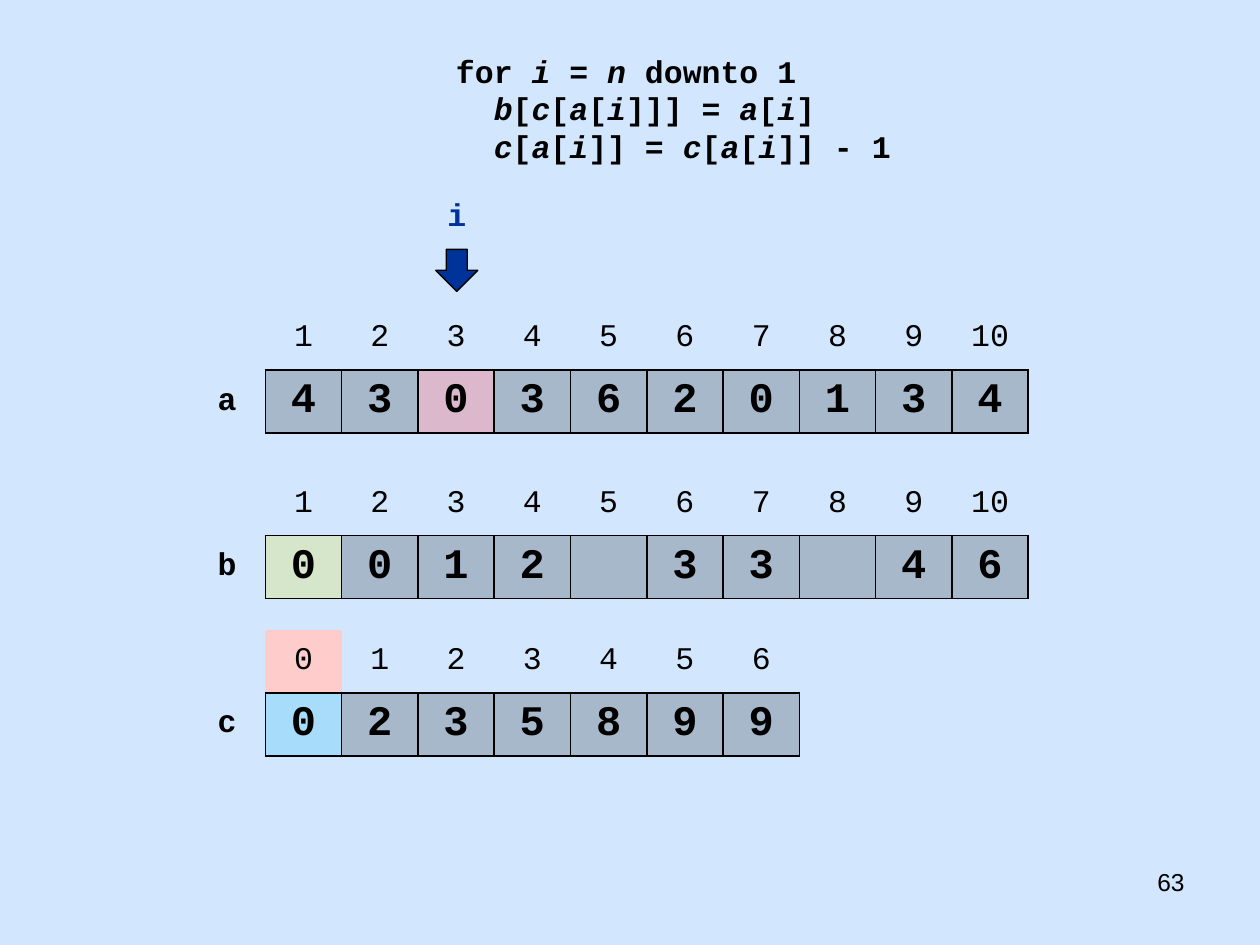
import dataclasses
import typing

import lxml.etree
import pptx
import pptx.dml.color
import pptx.enum.shapes
import pptx.enum.text
import pptx.oxml.ns
import pptx.util

Pt = pptx.util.Pt
RGBColor = pptx.dml.color.RGBColor
Align = pptx.enum.text.PP_ALIGN
Anchor = pptx.enum.text.MSO_ANCHOR
qn = pptx.oxml.ns.qn

BLACK = RGBColor(0x00, 0x00, 0x00)
NAVY = RGBColor(0x00, 0x33, 0x99)
SKY = RGBColor(0xD2, 0xE7, 0xFE)
RED = RGBColor(0xFF, 0x00, 0x00)
YELLOW = RGBColor(0xE5, 0xE5, 0x00)
CYAN = RGBColor(0x00, 0xB0, 0xF0)
PINK = RGBColor(0xFF, 0xCC, 0xCC)

CELL_WIDTH = 43.6
CELL_HEIGHT = 36
TABLE_LEFT = 108
SIDES = "LRTB"

INDEX_FORMAT = {"name": "Courier New", "size": Pt(18), "bold": False}
CODE_FORMAT = INDEX_FORMAT | {"bold": True}
VALUE_FORMAT = CODE_FORMAT | {"size": Pt(24)}
NUMBER_FORMAT = {"name": "Arial", "size": Pt(14)}


@dataclasses.dataclass
class ArrayRow:
    name: str
    top: float
    first_index: int
    values: list[str]
    marked: int
    mark_color: RGBColor
    index_color: RGBColor | None = None


@dataclasses.dataclass
class CodeLine:
    text: str
    indent: float = 0


ARRAYS = [
    ArrayRow("a", 175.5, 1, list("4303620134"), 2, RED),
    ArrayRow("c", 360, 0, list("0235899"), 0, CYAN, PINK),
    ArrayRow("b", 270, 1, ["0", "0", "1", "2", "", "3", "3", "", "4", "6"], 0, YELLOW),
]

CODE = [
    CodeLine("for *i* = *n* downto 1"),
    CodeLine("*b*[*c*[*a*[*i*]]] = *a*[*i*]", 21.6),
    CodeLine("*c*[*a*[*i*]] = *c*[*a*[*i*]] - 1", 21.6),
]


def add_span(para: typing.Any, text: str, style: dict, color: RGBColor = BLACK) -> None:
    span = para.add_run()
    span.text = text
    for attribute, value in style.items():
        setattr(span.font, attribute, value)
    span.font.color.rgb = color


def add_box(page: typing.Any, left: float, top: float, width: float, height: float) -> typing.Any:
    box = page.shapes.add_textbox(Pt(left), Pt(top), Pt(width), Pt(height))
    box.text_frame.word_wrap = True
    return box.text_frame


def set_borders(cell: typing.Any, visible: str) -> None:
    properties = cell._tc.get_or_add_tcPr()
    for side in SIDES:
        border = lxml.etree.SubElement(properties, qn(f"a:ln{side}"), w=str(Pt(1)))
        if side in visible:
            fill = lxml.etree.SubElement(border, qn("a:solidFill"))
            lxml.etree.SubElement(fill, qn("a:srgbClr"), val=str(BLACK))
        else:
            lxml.etree.SubElement(border, qn("a:noFill"))


def fill_cell(cell: typing.Any, color: RGBColor | None, opacity: int = 100) -> None:
    if color is None:
        cell.fill.background()
        return
    cell.fill.solid()
    cell.fill.fore_color.rgb = color
    if opacity < 100:
        shade = cell._tc.tcPr.find(f"{qn('a:solidFill')}/{qn('a:srgbClr')}")
        lxml.etree.SubElement(shade, qn("a:alpha"), val=str(opacity * 1000))


def write_cell(cell: typing.Any, text: str, style: dict, borders: str) -> None:
    cell.vertical_anchor = Anchor.MIDDLE
    set_borders(cell, borders)
    para = cell.text_frame.paragraphs[0]
    para.alignment = Align.CENTER
    if text:
        add_span(para, text, style)


def draw_array(page: typing.Any, array: ArrayRow) -> None:
    columns = len(array.values) + 1
    frame = page.shapes.add_table(
        2, columns, Pt(TABLE_LEFT), Pt(array.top), Pt(CELL_WIDTH * columns), Pt(2 * CELL_HEIGHT)
    )
    table = frame.table
    table.first_row = table.horz_banding = False
    for column in table.columns:
        column.width = Pt(CELL_WIDTH)
    for row in table.rows:
        row.height = Pt(CELL_HEIGHT)

    write_cell(table.cell(0, 0), "", INDEX_FORMAT, "")
    write_cell(table.cell(1, 0), array.name, CODE_FORMAT, "R")
    for row in range(2):
        fill_cell(table.cell(row, 0), None)

    for position, value in enumerate(array.values):
        marked = position == array.marked
        index_cell = table.cell(0, position + 1)
        write_cell(index_cell, str(array.first_index + position), INDEX_FORMAT, "B")
        fill_cell(index_cell, array.index_color if marked else None)
        value_cell = table.cell(1, position + 1)
        write_cell(value_cell, value, VALUE_FORMAT, SIDES)
        fill_cell(value_cell, array.mark_color if marked else BLACK, 20)


def draw_code(page: typing.Any) -> None:
    frame = add_box(page, 242.6, 26, 288, 72.5)
    frame.margin_left = Pt(18)
    for number, line in enumerate(CODE):
        para = frame.add_paragraph() if number else frame.paragraphs[0]
        para.line_spacing = Pt(21.6)
        para._p.get_or_add_pPr().set("marL", str(Pt(line.indent)))
        for part, text in enumerate(line.text.split("*")):
            if text:
                add_span(para, text, CODE_FORMAT | {"italic": part % 2 == 1})


def draw_pointer(page: typing.Any) -> None:
    para = add_box(page, 186, 108, 150, 28.8).paragraphs[0]
    para.alignment = Align.CENTER
    para.line_spacing = Pt(21.6)
    add_span(para, "i", CODE_FORMAT, NAVY)
    arrow = page.shapes.add_shape(
        pptx.enum.shapes.MSO_SHAPE.DOWN_ARROW, Pt(249), Pt(142.5), Pt(24), Pt(24)
    )
    arrow.shadow.inherit = False
    arrow.fill.solid()
    arrow.fill.fore_color.rgb = NAVY
    arrow.line.color.rgb = BLACK
    arrow.line.width = Pt(0.75)


def draw_page_number(page: typing.Any) -> None:
    para = add_box(page, 516, 492, 168, 37.5).paragraphs[0]
    para.alignment = Align.RIGHT
    add_span(para, "63", NUMBER_FORMAT)


def main() -> None:
    deck = pptx.Presentation()
    deck.slide_width, deck.slide_height = Pt(720), Pt(540)
    page = deck.slides.add_slide(deck.slide_layouts[6])
    page.background.fill.solid()
    page.background.fill.fore_color.rgb = SKY
    draw_page_number(page)
    for array in ARRAYS:
        draw_array(page, array)
    draw_code(page)
    draw_pointer(page)
    deck.save("out.pptx")


if __name__ == "__main__":
    main()
